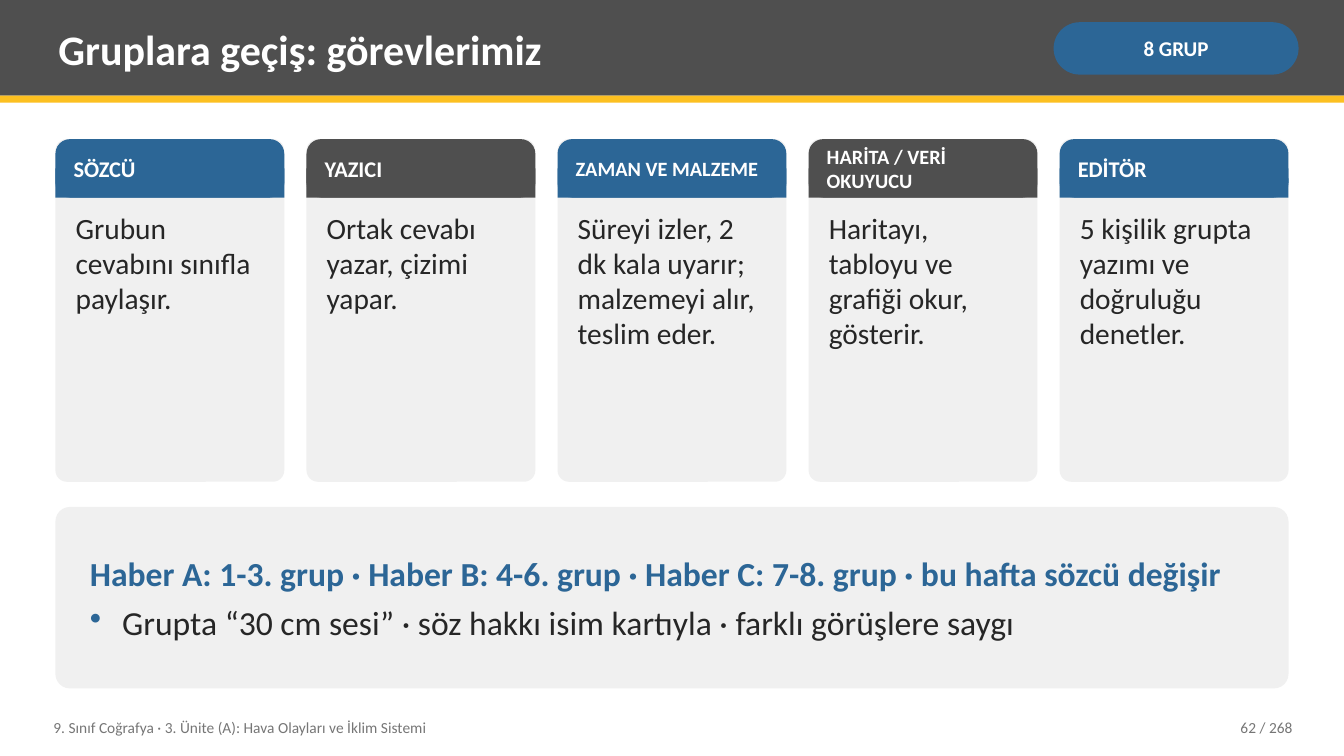
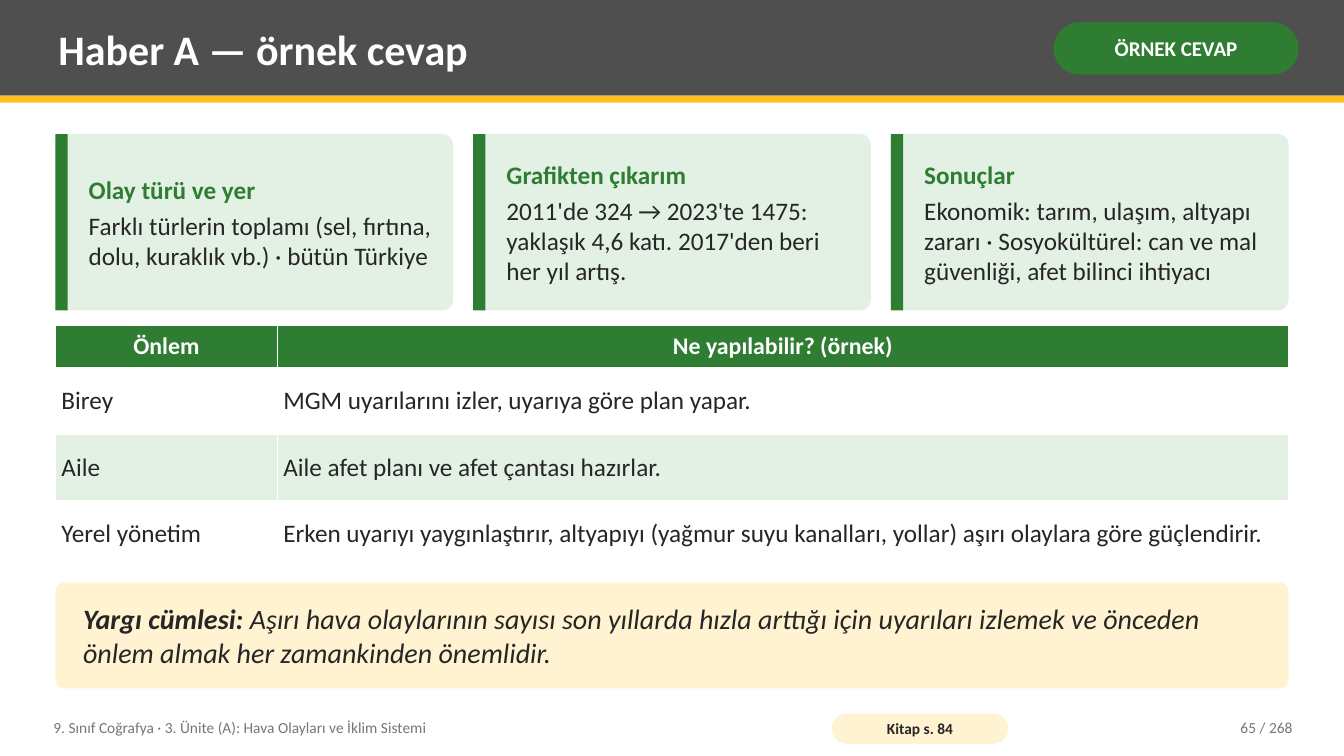
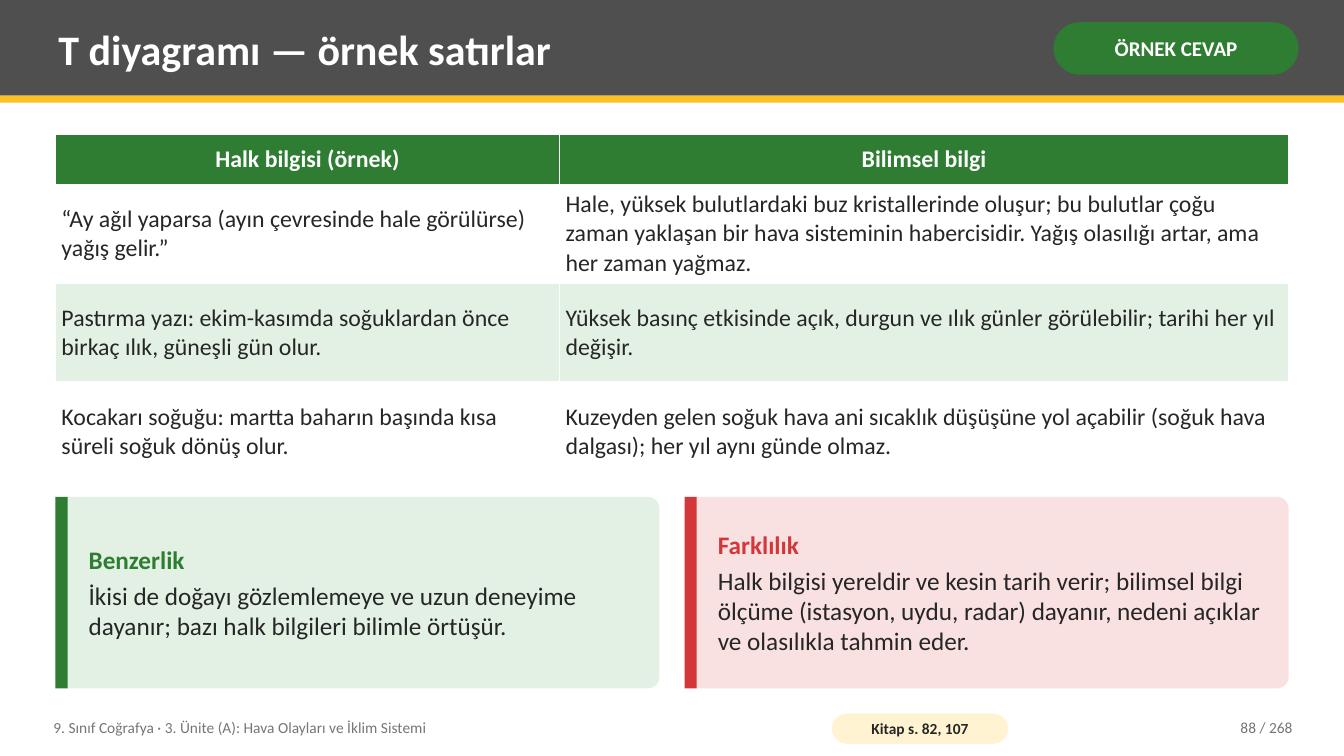
"""Build three lesson slides on weather events: group roles, a sample answer and a T diagram."""
from lxml.etree import SubElement
from pptx import Presentation
from pptx.dml.color import RGBColor
from pptx.enum.shapes import MSO_SHAPE as Shape
from pptx.enum.text import MSO_ANCHOR as Anchor, PP_ALIGN as Align
from pptx.oxml.ns import qn
from pptx.util import Inches, Pt


class Theme:
    font = "Calibri"
    white, ink, muted = "FFFFFF", "262626", "767676"
    dark, gold, blue = "4F4F4F", "FCC021", "2C6696"
    green, red = "2E7D32", "D3373A"
    panel, mint, rose, cream = "F0F0F0", "E3F1E4", "F9E1E1", "FFF3D1"
    title, tag, small = 30, 15, 11
    label, long_label, role = 16, 14.5, 21
    note, heading, table, verdict = 24, 18, 17, 20


WIDTH, HEIGHT = 13.33, 7.5
LEFT, CONTENT = 0.55, 12.23
TEXT_INSETS = (0.08, 0.04)
FOOTER = "9. Sınıf Coğrafya · 3. Ünite (A): Hava Olayları ve İklim Sistemi"
PAGE_COUNT = 268

ROLES = [
    ("SÖZCÜ", "Grubun cevabını sınıfla paylaşır."),
    ("YAZICI", "Ortak cevabı yazar, çizimi yapar."),
    ("ZAMAN VE MALZEME", "Süreyi izler, 2 dk kala uyarır; malzemeyi alır, teslim eder."),
    ("HARİTA / VERİ OKUYUCU", "Haritayı, tabloyu ve grafiği okur, gösterir."),
    ("EDİTÖR", "5 kişilik grupta yazımı ve doğruluğu denetler."),
]
GROUP_NEWS = "Haber A: 1-3. grup · Haber B: 4-6. grup · Haber C: 7-8. grup · bu hafta sözcü değişir"
GROUP_RULE = "Grupta “30 cm sesi” · söz hakkı isim kartıyla · farklı görüşlere saygı"

FINDINGS = [
    ("Olay türü ve yer",
     "Farklı türlerin toplamı (sel, fırtına, dolu, kuraklık vb.) · bütün Türkiye",
     Theme.green, Theme.mint),
    ("Grafikten çıkarım",
     "2011'de 324 → 2023'te 1475: yaklaşık 4,6 katı. 2017'den beri her yıl artış.",
     Theme.green, Theme.mint),
    ("Sonuçlar",
     "Ekonomik: tarım, ulaşım, altyapı zararı · Sosyokültürel: can ve mal güvenliği, "
     "afet bilinci ihtiyacı",
     Theme.green, Theme.mint),
]
MEASURES = [
    ("Önlem", "Ne yapılabilir? (örnek)"),
    ("Birey", "MGM uyarılarını izler, uyarıya göre plan yapar."),
    ("Aile", "Aile afet planı ve afet çantası hazırlar."),
    ("Yerel yönetim",
     "Erken uyarıyı yaygınlaştırır, altyapıyı (yağmur suyu kanalları, yollar) "
     "aşırı olaylara göre güçlendirir."),
]
VERDICT = (
    "Yargı cümlesi:",
    " Aşırı hava olaylarının sayısı son yıllarda hızla arttığı için uyarıları izlemek "
    "ve önceden önlem almak her zamankinden önemlidir.",
)

SAYINGS = [
    ("Halk bilgisi (örnek)", "Bilimsel bilgi"),
    ("“Ay ağıl yaparsa (ayın çevresinde hale görülürse) yağış gelir.”",
     "Hale, yüksek bulutlardaki buz kristallerinde oluşur; bu bulutlar çoğu zaman yaklaşan "
     "bir hava sisteminin habercisidir. Yağış olasılığı artar, ama her zaman yağmaz."),
    ("Pastırma yazı: ekim-kasımda soğuklardan önce birkaç ılık, güneşli gün olur.",
     "Yüksek basınç etkisinde açık, durgun ve ılık günler görülebilir; tarihi her yıl değişir."),
    ("Kocakarı soğuğu: martta baharın başında kısa süreli soğuk dönüş olur.",
     "Kuzeyden gelen soğuk hava ani sıcaklık düşüşüne yol açabilir (soğuk hava dalgası); "
     "her yıl aynı günde olmaz."),
]
COMPARISON = [
    ("Benzerlik",
     "İkisi de doğayı gözlemlemeye ve uzun deneyime dayanır; bazı halk bilgileri "
     "bilimle örtüşür.",
     Theme.green, Theme.mint),
    ("Farklılık",
     "Halk bilgisi yereldir ve kesin tarih verir; bilimsel bilgi ölçüme (istasyon, uydu, "
     "radar) dayanır, nedeni açıklar ve olasılıkla tahmin eder.",
     Theme.red, Theme.rose),
]


def rgb(colour):
    return RGBColor.from_string(colour)


def span(text, size, colour, bold=False, italic=False):
    return text, size, colour, bold, italic


def write(frame, paras, align=Align.LEFT, after=0):
    for index, spans in enumerate(paras):
        para = frame.add_paragraph() if index else frame.paragraphs[0]
        para.alignment = align
        if index < len(paras) - 1:
            para.space_after = Pt(after)
        for text, size, colour, bold, italic in spans:
            run = para.add_run()
            run.text = text
            run.font.name, run.font.size = Theme.font, Pt(size)
            run.font.color.rgb = rgb(colour)
            run.font.bold, run.font.italic = bold, italic


def set_frame(box, paras, insets, anchor=Anchor.MIDDLE, **style):
    frame = box.text_frame
    frame.word_wrap = True
    frame.vertical_anchor = anchor
    frame.margin_left = frame.margin_right = Inches(insets[0])
    frame.margin_top = frame.margin_bottom = Inches(insets[1])
    write(frame, paras, **style)
    return frame


def add_text(page, place, paras, **style):
    box = page.shapes.add_textbox(*map(Inches, place))
    return set_frame(box, paras, TEXT_INSETS, **style)


def add_block(page, place, fill, corner=None):
    kind = Shape.RECTANGLE if corner is None else Shape.ROUNDED_RECTANGLE
    block = page.shapes.add_shape(kind, *map(Inches, place))
    block.shadow.inherit = False
    block.fill.solid()
    block.fill.fore_color.rgb = rgb(fill)
    block.line.fill.background()
    if corner is not None:
        block.adjustments[0] = corner
    return block


def add_bullet(para, colour, indent):
    properties = para._p.get_or_add_pPr()
    properties.set("marL", str(Inches(indent)))
    properties.set("indent", str(-Inches(indent)))
    SubElement(SubElement(properties, qn("a:buClr")), qn("a:srgbClr")).set("val", colour)
    SubElement(properties, qn("a:buChar")).set("char", "•")


def add_borders(cell, colour, width):
    properties = cell._tc.get_or_add_tcPr()
    for side in ("lnL", "lnR", "lnT", "lnB"):
        line = SubElement(properties, qn(f"a:{side}"), w=str(Pt(width)))
        SubElement(SubElement(line, qn("a:solidFill")), qn("a:srgbClr")).set("val", colour)


def add_grid(page, top, columns, row_heights, rows, body_size):
    place = (LEFT, top, sum(columns), sum(row_heights))
    table = page.shapes.add_table(len(rows), len(columns), *map(Inches, place)).table
    table.horz_banding = False
    for column, width in zip(table.columns, columns):
        column.width = Inches(width)
    for index, (row, height, texts) in enumerate(zip(table.rows, row_heights, rows)):
        row.height = Inches(height)
        header = index == 0
        fill = Theme.green if header else Theme.white if index % 2 else Theme.mint
        for cell, text in zip(row.cells, texts):
            add_borders(cell, Theme.white, 0.96)
            cell.fill.solid()
            cell.fill.fore_color.rgb = rgb(fill)
            cell.vertical_anchor = Anchor.MIDDLE
            cell.margin_left = cell.margin_right = Inches(0.06)
            cell.margin_top = cell.margin_bottom = Inches(0.05)
            if header:
                words, align = span(text, Theme.table, Theme.white, True), Align.CENTER
            else:
                words, align = span(text, body_size, Theme.ink), Align.LEFT
            write(cell.text_frame, [[words]], align)


def columns_of(count, gap):
    width = (CONTENT - gap * (count - 1)) / count
    return [(LEFT + index * (width + gap), width) for index in range(count)]


def add_callouts(page, callouts, top, height, gap):
    for (left, width), (heading, body, accent, tint) in zip(
            columns_of(len(callouts), gap), callouts):
        add_block(page, (left, top, width, height), tint, 0.06)
        add_block(page, (left, top, 0.12, height), accent)
        add_text(page, (left + 0.25, top + 0.06, width - 0.35, height - 0.12),
                 [[span(heading, Theme.heading, accent, True)],
                  [span(body, Theme.heading, Theme.ink)]], after=4)


def add_role(page, left, width, top, accent, label, duty):
    head, height = 0.58, 3.4
    size = Theme.long_label if len(label) > 12 else Theme.label
    add_block(page, (left, top, width, height), Theme.panel, 0.05)
    add_block(page, (left, top, width, head), accent, 0.25)
    add_block(page, (left, top + head / 2, width, head / 2), accent)
    add_text(page, (left + 0.1, top, width - 0.2, head),
             [[span(label, size, Theme.white, True)]])
    add_text(page, (left + 0.12, top + head + 0.08, width - 0.24, height - head - 0.16),
             [[span(duty, Theme.role, Theme.ink)]], anchor=Anchor.TOP)


def new_page(deck, title, tag, accent, number, book=None):
    page = deck.slides.add_slide(deck.slide_layouts[6])
    add_block(page, (0, 0, WIDTH, 0.95), Theme.dark)
    add_block(page, (0, 0.95, WIDTH, 0.07), Theme.gold)
    add_text(page, (0.5, 0.07, 9.75, 0.82), [[span(title, Theme.title, Theme.white, True)]])
    set_frame(add_block(page, (10.45, 0.22, 2.43, 0.52), accent, 0.5),
              [[span(tag, Theme.tag, Theme.white, True)]], (0.05, 0.02), align=Align.CENTER)
    add_text(page, (0.45, 7.04, 7.6, 0.36), [[span(FOOTER, Theme.small, Theme.muted)]])
    if book:
        set_frame(add_block(page, (8.25, 7.08, 1.75, 0.3), Theme.cream, 0.5),
                  [[span(book, Theme.small, Theme.ink, True)]], (0.04, 0), align=Align.CENTER)
    add_text(page, (11.3, 7.04, 1.6, 0.36),
             [[span(f"{number} / {PAGE_COUNT}", Theme.small, Theme.muted)]], align=Align.RIGHT)
    return page


def build_roles(deck):
    page = new_page(deck, "Gruplara geçiş: görevlerimiz", "8 GRUP", Theme.blue, 62)
    for index, ((left, width), (label, duty)) in enumerate(
            zip(columns_of(len(ROLES), 0.22), ROLES)):
        accent = Theme.dark if index % 2 else Theme.blue
        add_role(page, left, width, 1.38, accent, label, duty)
    panel = add_block(page, (LEFT, 5.03, CONTENT, 1.8), Theme.panel, 0.08)
    frame = set_frame(panel, [[span(GROUP_NEWS, Theme.note, Theme.blue, True)],
                              [span(GROUP_RULE, Theme.note, Theme.ink)]], (0.3, 0.08), after=6)
    add_bullet(frame.paragraphs[1], Theme.blue, 0.32)


def build_answer(deck):
    page = new_page(deck, "Haber A — örnek cevap", "ÖRNEK CEVAP", Theme.green, 65, "Kitap s. 84")
    add_callouts(page, FINDINGS, 1.33, 1.75, 0.2)
    add_grid(page, 3.23, [2.2, 10.03], [0.42] + [0.66] * 3, MEASURES, Theme.heading)
    lead, sentence = VERDICT
    set_frame(add_block(page, (LEFT, 5.78, CONTENT, 1.05), Theme.cream, 0.08),
              [[span(lead, Theme.verdict, Theme.ink, True, True),
                span(sentence, Theme.verdict, Theme.ink, False, True)]], (0.25, 0.08))


def build_diagram(deck):
    page = new_page(deck, "T diyagramı — örnek satırlar", "ÖRNEK CEVAP", Theme.green, 88,
                    "Kitap s. 82, 107")
    add_grid(page, 1.33, [5, 7.23], [0.5] + [0.98] * 3, SAYINGS, Theme.table)
    add_callouts(page, COMPARISON, 4.93, 1.9, 0.25)


def main():
    deck = Presentation()
    deck.slide_width, deck.slide_height = Inches(WIDTH), Inches(HEIGHT)
    build_roles(deck)
    build_answer(deck)
    build_diagram(deck)
    deck.save("out.pptx")


if __name__ == "__main__":
    main()
